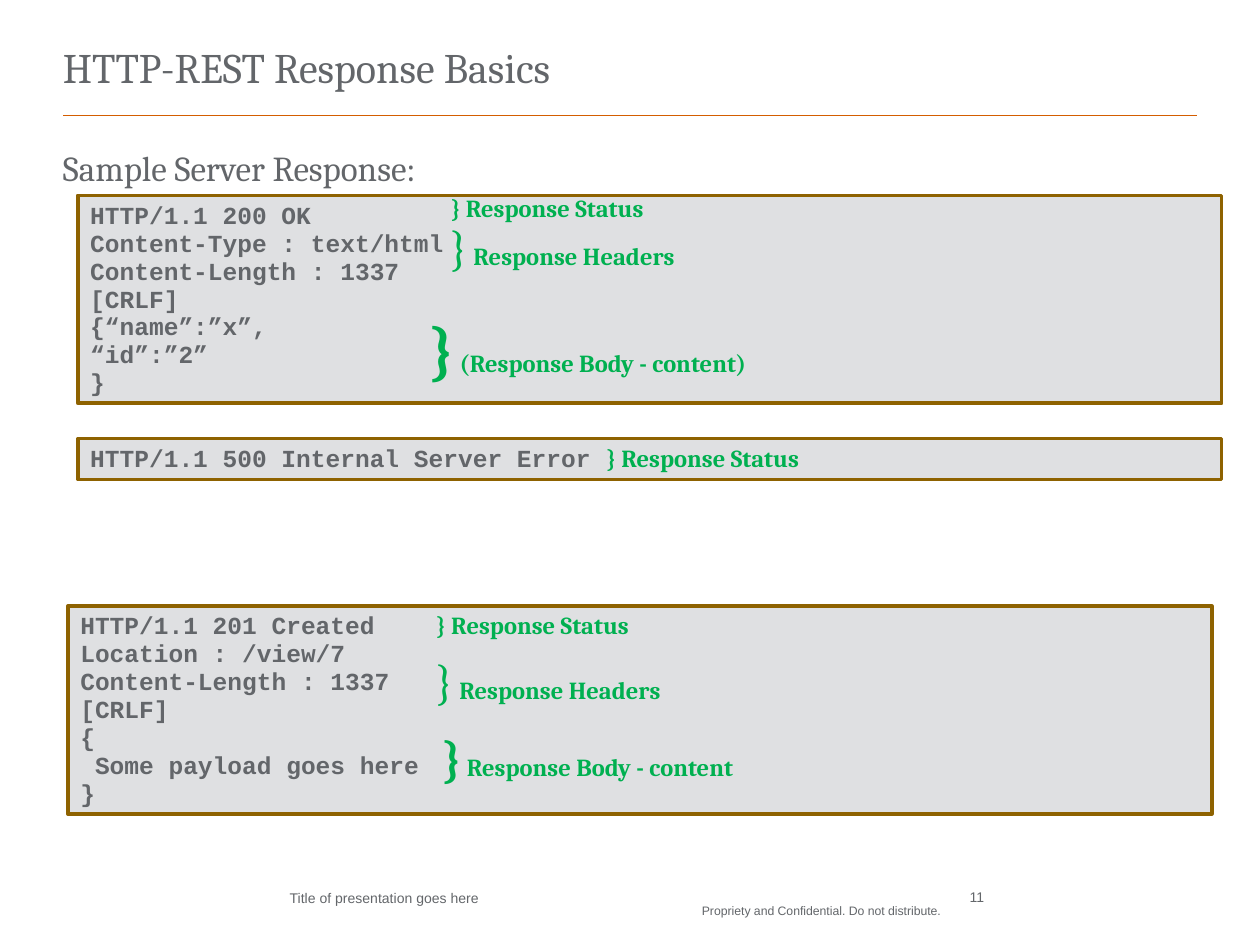
"""Build the slide that explains the parts of an HTTP-REST response."""
from lxml import etree
from pptx import Presentation, util as u
from pptx.dml import color
from pptx.enum import shapes, text
from pptx.oxml import ns

GREY, GREEN, ORANGE = "63666A", "00B050", "D45D00"
PANEL_FILL, PANEL_LINE = "DFE0E2", "8E6200"
SERIF, SANS, MONO = "Cambria", "Arial", "Courier New"


def rgb(value):
    """Turn a hex string into a colour."""
    return color.RGBColor.from_string(value)


def write(paragraph, content, size=14, font=SERIF, colour=GREEN, bold=False):
    """Add one formatted run to a paragraph."""
    run = paragraph.add_run()
    run.text = content
    run.font.size = u.Pt(size)
    run.font.name = font
    run.font.bold = bold
    run.font.color.rgb = rgb(colour)


class ResponseSlide:
    """Hold the style and the current slide."""

    inset = (0.25, 0.13)
    line_spacing = 0.95

    def __init__(self, presentation):
        """Add a blank slide."""
        self.slide = presentation.slides.add_slide(presentation.slide_layouts[6])

    def frame(self, shape, inset=(0, 0), anchor=text.MSO_ANCHOR.TOP, wrap=True):
        """Set up the text frame of a shape."""
        frame = shape.text_frame
        frame.word_wrap = wrap
        frame.vertical_anchor = anchor
        frame.margin_left = frame.margin_right = u.Cm(inset[0])
        frame.margin_top = frame.margin_bottom = u.Cm(inset[1])
        return frame

    def box(self, left, top, width, height):
        """Add an empty text box."""
        return self.slide.shapes.add_textbox(u.Cm(left), u.Cm(top), u.Cm(width), u.Cm(height))

    def rule(self, left, top, right):
        """Draw the line under the title."""
        line = self.slide.shapes.add_connector(
            shapes.MSO_CONNECTOR.STRAIGHT, u.Cm(left), u.Cm(top), u.Cm(right), u.Cm(top))
        line.line.color.rgb = rgb(ORANGE)
        line.line.width = u.Pt(1)
        etree.SubElement(line._element.spPr, ns.qn("a:effectLst"))

    def label(self, content, place, size, font=SERIF, align=text.PP_ALIGN.LEFT,
              anchor=text.MSO_ANCHOR.TOP, wrap=True):
        """Add a grey line of text without insets."""
        frame = self.frame(self.box(*place), anchor=anchor, wrap=wrap)
        paragraph = frame.paragraphs[0]
        paragraph.alignment = align
        write(paragraph, content, size, font, GREY)

    def panel(self, left, top, height, lines):
        """Add a framed panel of code and return its last paragraph."""
        shape = self.slide.shapes.add_shape(
            shapes.MSO_SHAPE.RECTANGLE, u.Cm(left), u.Cm(top), u.Cm(23.06), u.Cm(height))
        shape.shadow.inherit = False
        shape.fill.solid()
        shape.fill.fore_color.rgb = rgb(PANEL_FILL)
        shape.line.color.rgb = rgb(PANEL_LINE)
        shape.line.width = u.Pt(2)
        frame = self.frame(shape, self.inset)
        for index, line in enumerate(lines):
            paragraph = frame.add_paragraph() if index else frame.paragraphs[0]
            paragraph.alignment = text.PP_ALIGN.LEFT
            paragraph.line_spacing = self.line_spacing
            write(paragraph, line, font=MONO, colour=GREY, bold=True)
        return paragraph

    def note(self, content, place, brace_size=14, brace_bold=True):
        """Add a green brace followed by the name of a response part."""
        paragraph = self.frame(self.box(*place), self.inset).paragraphs[0]
        paragraph.alignment = text.PP_ALIGN.CENTER
        paragraph.line_spacing = self.line_spacing
        write(paragraph, "}", brace_size, bold=brace_bold)
        write(paragraph, " " + content, bold=True)


def main():
    """Build and save the presentation."""
    presentation = Presentation()
    presentation.slide_width, presentation.slide_height = u.Cm(25.4), u.Cm(19.05)
    slide = ResponseSlide(presentation)
    bottom = text.MSO_ANCHOR.BOTTOM

    slide.rule(1.27, 2.33, 24.13)
    slide.label("HTTP-REST Response Basics", (1.27, 0.15, 22.86, 1.7), 24, anchor=bottom)
    slide.label("Sample Server Response:", (1.27, 2.6, 22.86, 1.21), 20, anchor=bottom)
    slide.label("Title of presentation goes here", (5.84, 17.93, 13.34, 0.43), 8, SANS)
    slide.label("Propriety and Confidential. Do not distribute.",
                (14.15, 18.21, 5.28, 0.64), 7, SANS, wrap=False)
    slide.label("11", (19, 17.91, 0.84, 0.43), 8, SANS, text.PP_ALIGN.RIGHT)

    slide.panel(1.57, 3.94, 4.19, [
        "HTTP/1.1 200 OK", "Content-Type : text/html", "Content-Length : 1337",
        "[CRLF]", "{“name”:”x”,", "“id”:”2”", "}"])
    slide.note("Response Status", (7.77, 3.81, 6.53, 0.81))
    slide.note("Response Headers", (6.35, 4.32, 9.96, 1.96), 28, False)
    slide.note("(Response Body - content)", (6.37, 6.22, 10.97, 1.7), 36)

    error = slide.panel(1.57, 8.84, 0.83, ["HTTP/1.1 500 Internal Server Error "])
    write(error, "} Response Status", bold=True)

    slide.panel(1.37, 12.22, 4.19, [
        "HTTP/1.1 201 Created", "Location : /view/7", "Content-Length : 1337",
        "[CRLF]", "{", " Some payload goes here", "}"])
    slide.note("Response Status", (7.16, 12.22, 7.16, 0.81))
    slide.note("Response Headers", (7.11, 13.08, 7.87, 1.96), 28, False)
    slide.note("Response Body - content", (8.28, 14.63, 7.14, 1.4), 28)

    presentation.save("out.pptx")


if __name__ == "__main__":
    main()
